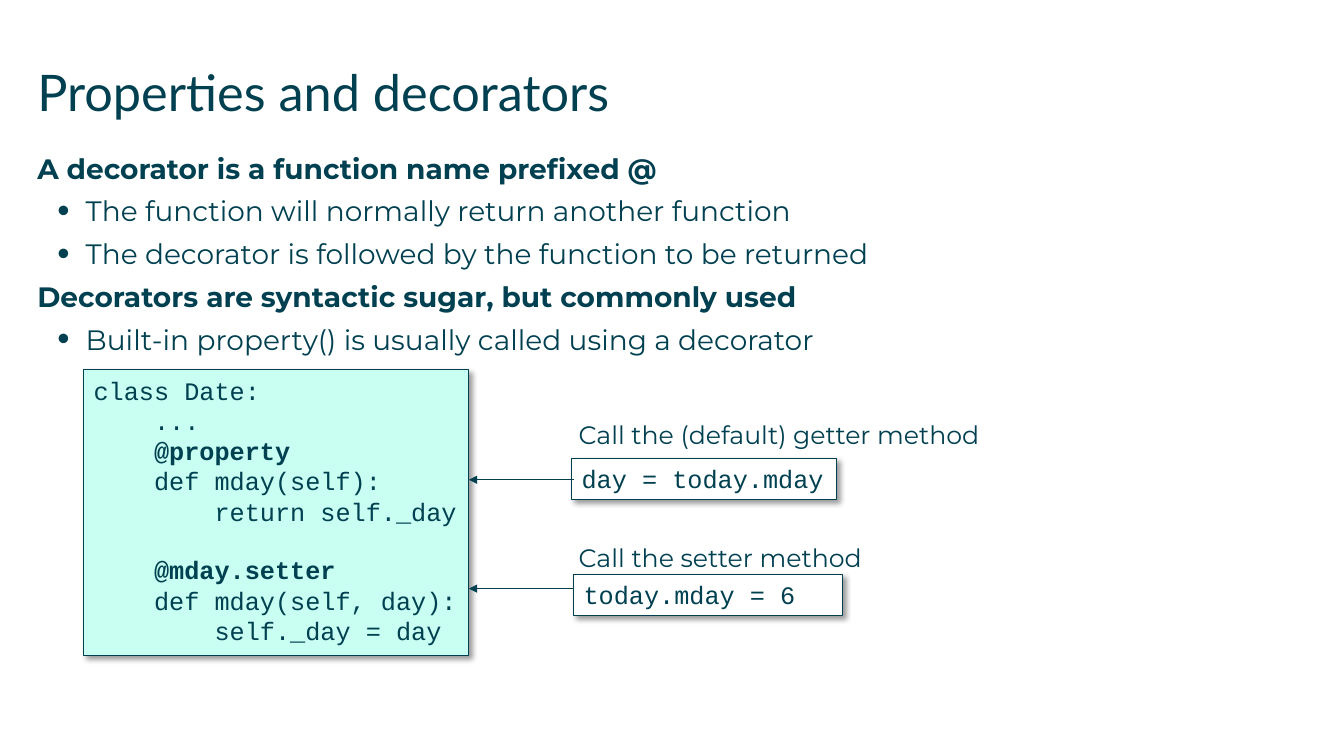
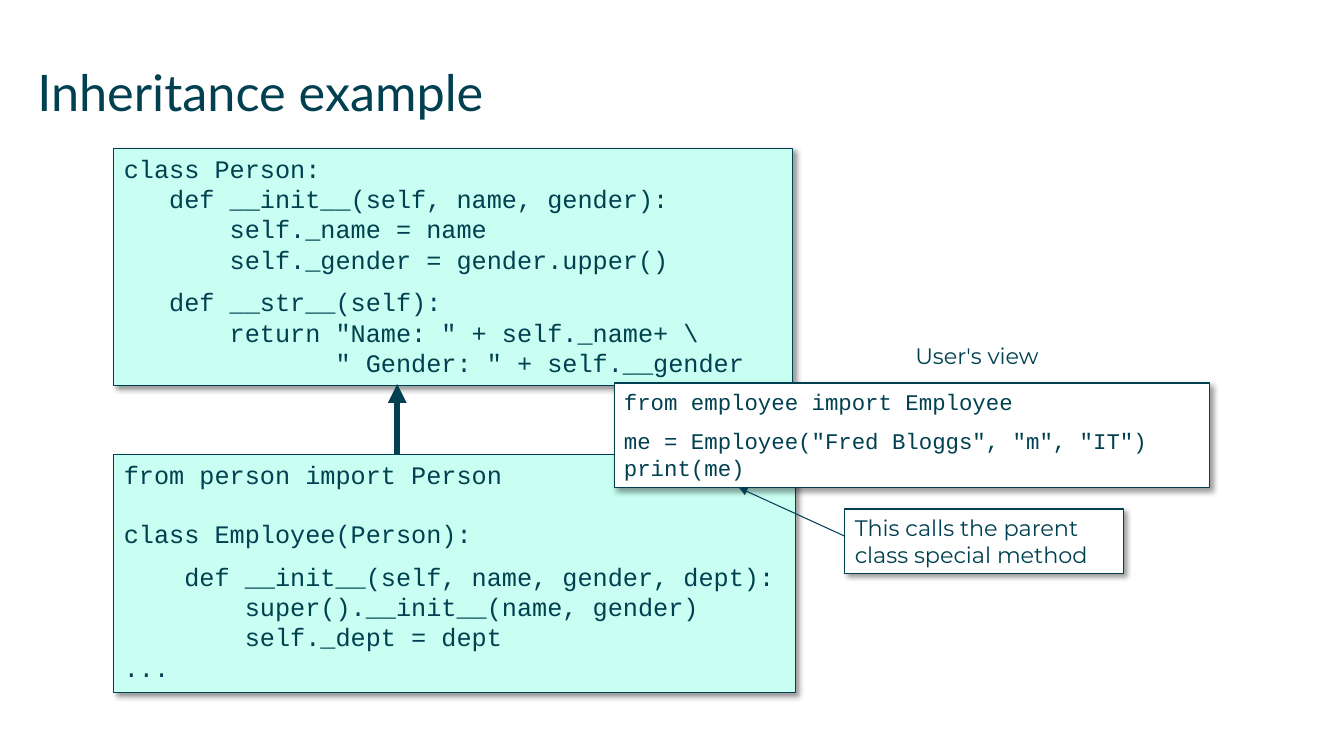
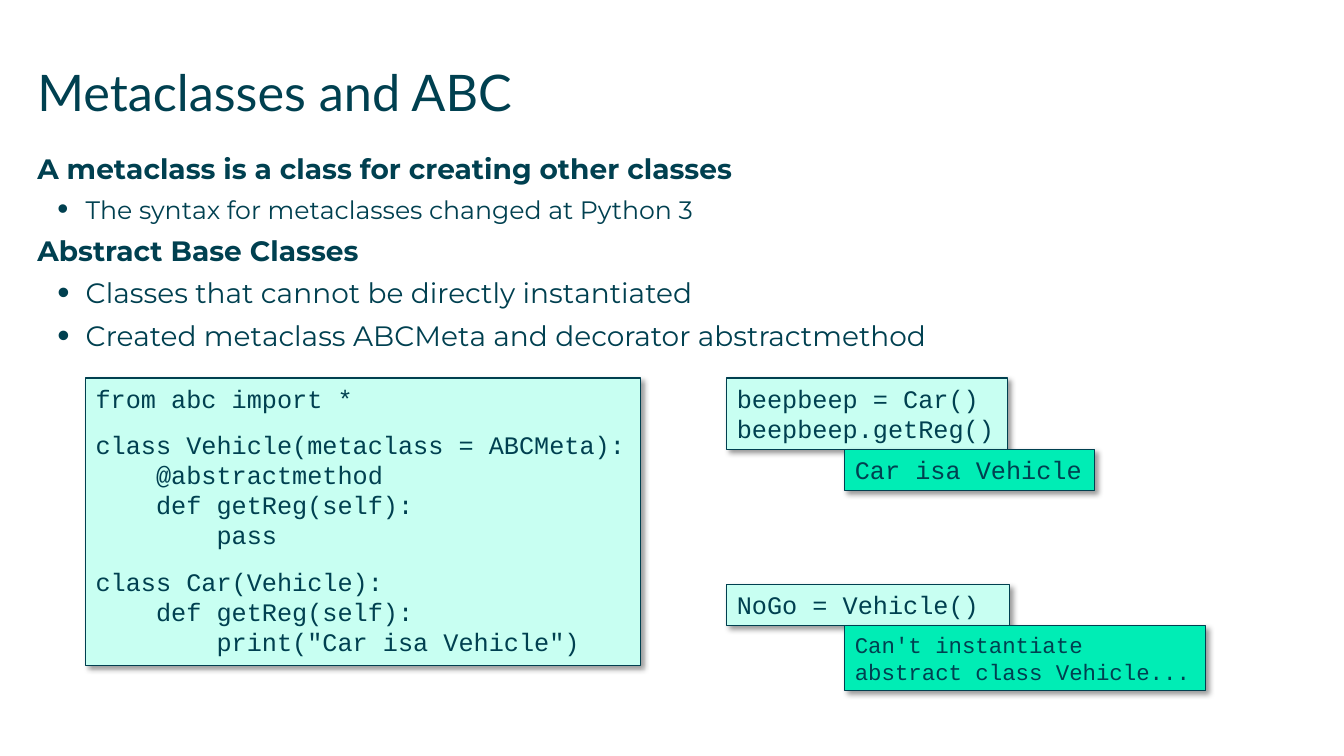
from dataclasses import dataclass

from lxml.etree import SubElement
from pptx import Presentation
from pptx.dml.color import RGBColor as RGB
from pptx.enum.shapes import MSO_CONNECTOR as CONN, MSO_SHAPE as SHAPE
from pptx.enum.text import MSO_ANCHOR as ANCHOR, MSO_AUTO_SIZE as AUTO, PP_ALIGN as ALIGN
from pptx.oxml.ns import qn
from pptx.util import Inches, Pt


# Theme: colours, fonts and type sizes
@dataclass(frozen=True)
class Theme:
    ink: RGB = RGB(0x00, 0x40, 0x50)
    white: RGB = RGB(0xFF, 0xFF, 0xFF)
    mint: RGB = RGB(0xC8, 0xFF, 0xF2)
    green: RGB = RGB(0x00, 0xED, 0xB5)
    title_font: str = "Lato"
    body_font: str = "Montserrat"
    code_font: str = "Courier New"
    title_size: int = 36
    body_size: int = 20
    code_size: int = 18
    small_size: int = 16
    char_width: float = 0.6  # code font, in ems
    para_gap: float = 6.5
    thin: float = 0.75


T = Theme()


def write(p, text, font=T.body_font, size=T.body_size, bold=False, color=T.ink):
    """Add one formatted run to a paragraph."""
    r = p.add_run()
    r.text = text
    r.font.name, r.font.size, r.font.bold = font, Pt(size), bold
    r.font.color.rgb = color


def indent(p, left, first=0):
    pPr = p._p.get_or_add_pPr()
    pPr.set("marL", str(int(left)))
    pPr.set("indent", str(int(first)))
    return pPr


def add_xml(parent, tag, **attrs):
    return SubElement(parent, qn(tag), {k: str(v) for k, v in attrs.items()})


class Deck:
    """Holds the theme, the presentation and the current slide."""

    def __init__(self, theme):
        self.t = theme
        self.prs = Presentation()
        self.prs.slide_width, self.prs.slide_height = Inches(13.33), Inches(7.5)
        self.s = None

    def slide(self, title, bullets=()):
        layout = self.prs.slide_layouts[1 if bullets else 5]
        self.s = self.prs.slides.add_slide(layout)
        tf = self.frame(self.s.shapes.title, (0.37, 0.61, 12.6, 0.88), inset=False)
        p = tf.paragraphs[0]
        p.alignment = ALIGN.LEFT
        write(p, title, font=self.t.title_font, size=self.t.title_size)
        if bullets:
            self.body(bullets)

    def frame(self, sp, at=None, inset=True):
        """Place a shape and set up its text frame."""
        if at:
            sp.left, sp.top, sp.width, sp.height = map(Inches, at)
        tf = sp.text_frame
        tf.word_wrap, tf.auto_size = True, AUTO.NONE
        tf.vertical_anchor = ANCHOR.TOP
        if not inset:
            tf.margin_left = tf.margin_right = tf.margin_top = tf.margin_bottom = 0
        return tf

    def body(self, items):
        """Each item is (level, text) or (level, text, size)."""
        tf = self.frame(self.s.placeholders[1], (0.37, 1.5, 12.59, 5.42), inset=False)
        for i, (level, text, *size) in enumerate(items):
            p = tf.add_paragraph() if i else tf.paragraphs[0]
            p.level = level
            p.space_before, p.space_after = Pt(0), Pt(self.t.para_gap)
            if level:
                pPr = indent(p, Inches(0.48), Inches(-0.28))
                add_xml(pPr, "a:buSzPct", val=125000)
                add_xml(pPr, "a:buFont", typeface="Arial")
                add_xml(pPr, "a:buChar", char="•")
            else:
                add_xml(indent(p, 0), "a:buNone")
            write(p, text, size=size[0] if size else self.t.body_size, bold=level == 0)

    def box(self, at, fill):
        """Outlined rectangle with a soft shadow; returns its text frame."""
        sp = self.s.shapes.add_shape(SHAPE.RECTANGLE, *map(Inches, at))
        sp.fill.solid()
        sp.fill.fore_color.rgb = fill
        sp.line.color.rgb, sp.line.width = self.t.ink, Pt(self.t.thin)
        sp.shadow.inherit = False
        effects = sp._element.spPr.find(qn("a:effectLst"))
        shadow = add_xml(effects, "a:outerShdw", blurRad=Pt(4), dist=Pt(3),
                         dir=45 * 60000, algn="tl", rotWithShape=0)
        add_xml(add_xml(shadow, "a:srgbClr", val="000000"), "a:alpha", val=40000)
        return self.frame(sp)

    def code(self, at, text, fill=T.mint, size=T.code_size, gaps=(), bold_decorators=False):
        """Leading spaces become indents; each blank line takes the next gap in points."""
        tf = self.box(at, fill)
        gaps, gap, started = iter(gaps), 0, False
        for line in text.strip("\n").split("\n"):
            code = line.lstrip()
            if not code:
                gap = next(gaps)
                continue
            p = tf.add_paragraph() if started else tf.paragraphs[0]
            started = True
            p.alignment, p.space_before = ALIGN.LEFT, Pt(gap)
            gap = 0
            indent(p, Pt((len(line) - len(code)) * size * self.t.char_width))
            write(p, code, font=self.t.code_font, size=size,
                  bold=bold_decorators and code.startswith("@"))

    def note(self, at, text):
        p = self.box(at, self.t.white).paragraphs[0]
        p.alignment = ALIGN.LEFT
        write(p, text, size=self.t.small_size)

    def label(self, at, text, size=T.code_size):
        tf = self.frame(self.s.shapes.add_textbox(*map(Inches, at)))
        write(tf.paragraphs[0], text, size=size)

    def arrow(self, start, end, width=T.thin):
        line = self.s.shapes.add_connector(CONN.STRAIGHT, *map(Inches, start + end))
        line.line.color.rgb, line.line.width = self.t.ink, Pt(width)
        add_xml(line.line._get_or_add_ln(), "a:tailEnd", type="triangle")
        add_xml(line._element.spPr, "a:effectLst")


# Code listings
DATE = """
class Date:
    ...
    @property
    def mday(self):
        return self._day

    @mday.setter
    def mday(self, day):
        self._day = day
"""

PERSON = r"""
class Person:
   def __init__(self, name, gender):
       self._name = name
       self._gender = gender.upper()

   def __str__(self):
       return "Name: " + self._name+ \
              " Gender: " + self.__gender
"""

EMPLOYEE = """
from person import Person

class Employee(Person):

    def __init__(self, name, gender, dept):
        super().__init__(name, gender)
        self._dept = dept
...
"""

USER = """
from employee import Employee

me = Employee("Fred Bloggs", "m", "IT")
print(me)
"""

VEHICLE = """
from abc import *

class Vehicle(metaclass = ABCMeta):
    @abstractmethod
    def getReg(self):
        pass

class Car(Vehicle):
    def getReg(self):
        print("Car isa Vehicle")
"""

# Blank-line heights in points
FULL, MEDIUM, SMALL = 20.4, 11.3, 9


def properties(d):
    d.slide("Properties and decorators", [
        (0, "A decorator is a function name prefixed @"),
        (1, "The function will normally return another function"),
        (1, "The decorator is followed by the function to be returned"),
        (0, "Decorators are syntactic sugar, but commonly used"),
        (1, "Built-in property() is usually called using a decorator"),
    ])
    d.code((0.83, 3.67, 3.82, 2.83), DATE, gaps=[FULL], bold_decorators=True)
    d.code((5.67, 4.55, 2.63, 0.41), "day = today.mday", fill=T.white)
    d.code((5.69, 5.7, 2.67, 0.41), "today.mday = 6", fill=T.white)
    d.label((5.64, 4.11, 4.23, 0.4), "Call the (default) getter method")
    d.label((5.64, 5.33, 3.05, 0.4), "Call the setter method")
    for y in (5.84, 4.76):
        d.arrow((5.69, y), (4.65, y))


def inheritance(d):
    d.slide("Inheritance example")
    d.code((1.13, 1.47, 6.73, 2.35), PERSON, gaps=[SMALL])
    d.code((1.13, 4.51, 6.76, 2.36), EMPLOYEE, gaps=[FULL, SMALL])
    d.arrow((3.94, 4.5), (3.94, 3.81), width=4.5)
    d.code((6.09, 3.8, 5.91, 1.04), USER, fill=T.white, size=T.small_size, gaps=[SMALL])
    d.note((8.38, 5.05, 2.76, 0.64), "This calls the parent class special method")
    d.arrow((8.38, 5.32), (7.33, 4.84))
    d.label((8.98, 3.35, 1.44, 0.37), "User's view", size=T.small_size)


def metaclasses(d):
    d.slide("Metaclasses and ABC", [
        (0, "A metaclass is a class for creating other classes"),
        (1, "The syntax for metaclasses changed at Python 3", T.code_size),
        (0, "Abstract Base Classes"),
        (1, "Classes that cannot be directly instantiated"),
        (1, "Created metaclass ABCMeta and decorator abstractmethod"),
    ])
    d.code((0.85, 3.75, 5.5, 2.85), VEHICLE, gaps=[MEDIUM, MEDIUM])
    # Calls and their output
    d.code((7.21, 3.75, 2.78, 0.71), "beepbeep = Car()\nbeepbeep.getReg()")
    d.code((8.38, 4.46, 2.48, 0.41), "Car isa Vehicle", fill=T.green)
    d.code((7.21, 5.8, 2.8, 0.41), "NoGo = Vehicle()")
    d.code((8.38, 6.21, 3.58, 0.64), "Can't instantiate\nabstract class Vehicle...",
           fill=T.green, size=T.small_size)


def main():
    d = Deck(T)
    for build in (properties, inheritance, metaclasses):
        build(d)
    d.prs.save("out.pptx")


if __name__ == "__main__":
    main()
